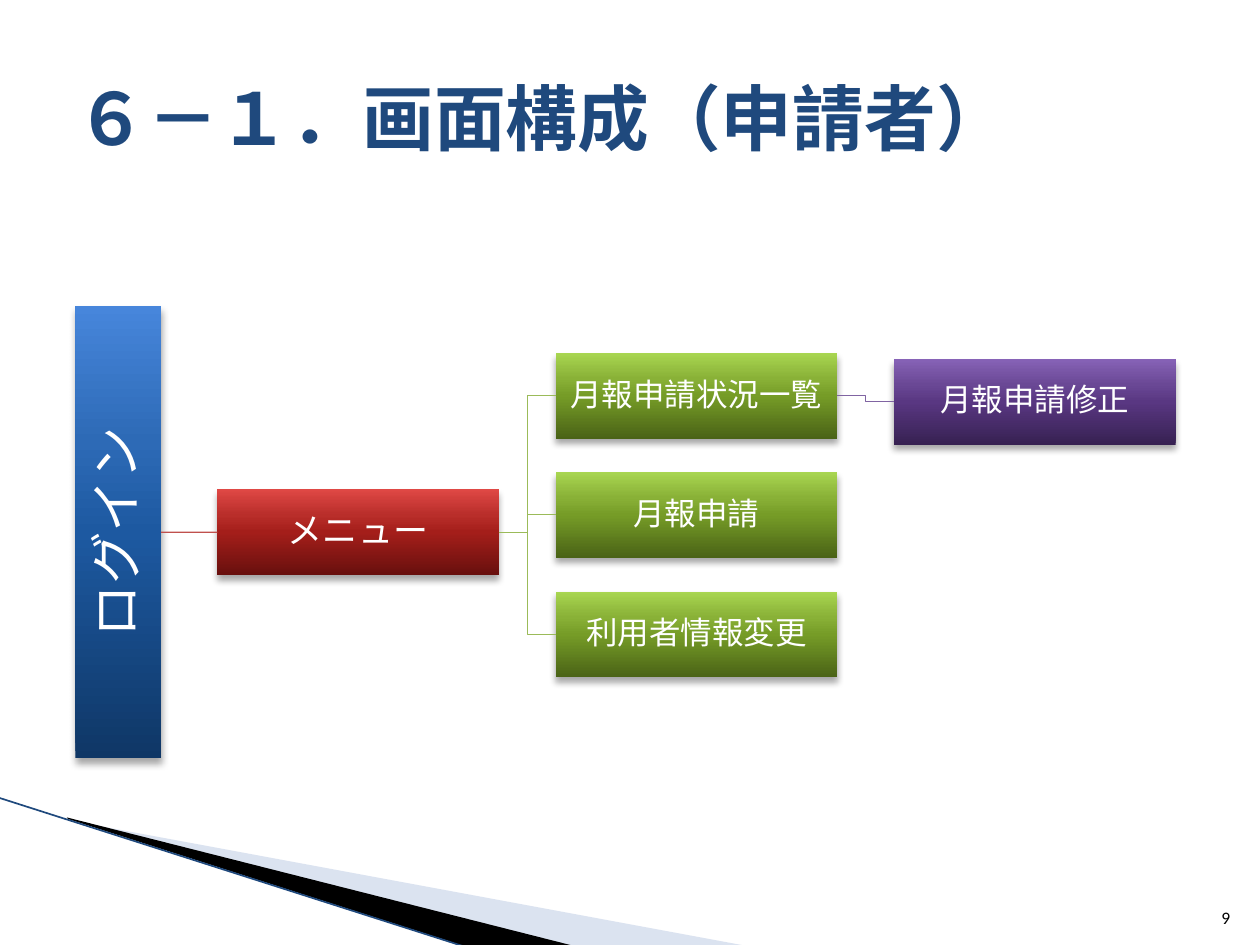
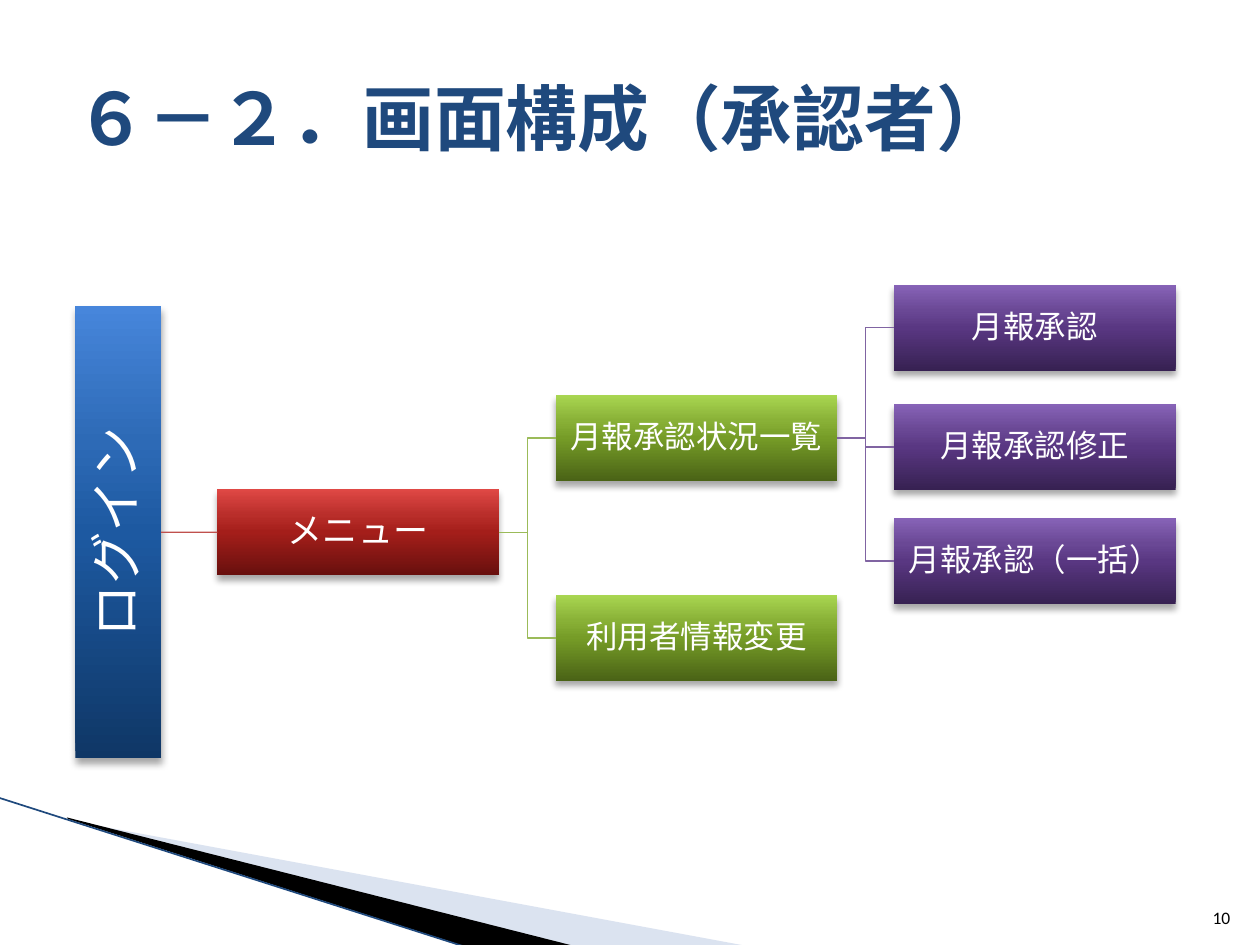
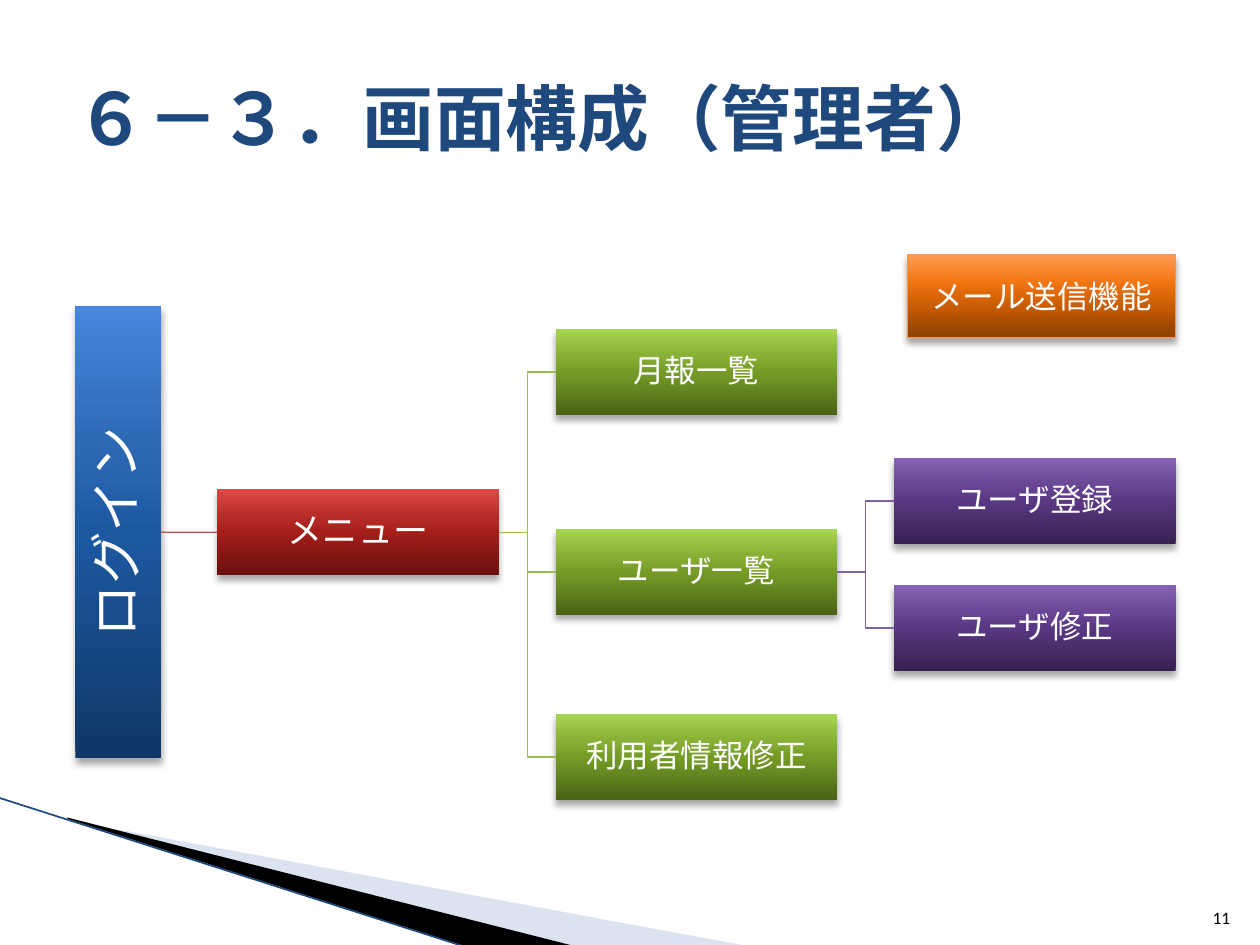
import pptx
import pptx.dml.color
import pptx.enum.shapes
import pptx.enum.text
import pptx.oxml.ns
import pptx.util
from lxml import etree

Cm = pptx.util.Cm
Pt = pptx.util.Pt
RGBColor = pptx.dml.color.RGBColor
Align = pptx.enum.text.PP_ALIGN
Anchor = pptx.enum.text.MSO_ANCHOR
qn = pptx.oxml.ns.qn

NAVY = RGBColor(0x1F, 0x49, 0x7D)
PALE_BLUE = RGBColor(0xA7, 0xB9, 0xDB)
BLACK = RGBColor(0, 0, 0)
WHITE = RGBColor(0xFF, 0xFF, 0xFF)
RED_LINE = RGBColor(0xC0, 0x50, 0x4D)
GREEN_LINE = RGBColor(0x9B, 0xBB, 0x59)
PURPLE_LINE = RGBColor(0x80, 0x64, 0xA2)
ORANGE_LINE = RGBColor(0xF7, 0x96, 0x46)


def gradient_colors(*values):
    return [RGBColor.from_string(value) for value in values]


BLUE = gradient_colors("0F3766", "1D59A1", "2D6AB6", "4786DB")
RED = gradient_colors("68100E", "A41E1A", "B92E2A", "DF4845")
GREEN = gradient_colors("4A6316", "769C27", "89B137", "A9D651")
PURPLE = gradient_colors("372152", "593782", "6A4895", "8763B7")
ORANGE = gradient_colors("8B3F00", "DA6606", "F47917", "FF9C54")
GRADIENT_STOPS = (0, 50, 70, 100)

BODY_FONT = "Calibri"
TITLE_FONT = "Cambria"
JAPANESE_FONT = "Noto Sans CJK JP"

BOX_WIDTH = 5.68
BOX_HEIGHT = 1.73
FIRST_COLUMN = 4.38
COLUMN_STEP = 6.82
MENU_CENTER = 10.73
LOGIN_LEFT = 1.52
LOGIN_HEIGHT = 9.12
LEVELS = [(RED, RED_LINE, 20), (GREEN, GREEN_LINE, 18), (PURPLE, PURPLE_LINE, 18)]
LEFT_SITE, RIGHT_SITE = 1, 3

SCREENS = [
    ("６－１．画面構成（申請者）", [
        ("月報申請状況一覧", 7.98, [("月報申請修正", 8.1, [])]),
        ("月報申請", 10.38, []),
        ("利用者情報変更", 12.79, []),
    ]),
    ("６－２．画面構成（承認者）", [
        ("月報承認状況一覧", 8.83, [
            ("月報承認", 6.61, []),
            ("月報承認修正", 9.01, []),
            ("月報承認（一括）", 11.31, []),
        ]),
        ("利用者情報変更", 12.86, []),
    ]),
    ("６－３．画面構成（管理者）", [
        ("月報一覧", 7.5, []),
        ("ユーザ一覧", 11.53, [("ユーザ登録", 10.1, []), ("ユーザ修正", 12.66, [])]),
        ("利用者情報修正", 15.26, []),
    ]),
]
FIRST_PAGE = 9


def write_text(shape, text, size=18, font=BODY_FONT, color=WHITE, bold=False,
               align=Align.CENTER, anchor=Anchor.MIDDLE, inset=None, spacing=None):
    frame = shape.text_frame
    frame.word_wrap = True
    frame.vertical_anchor = anchor
    if inset is not None:
        frame.margin_left = frame.margin_right = Cm(inset)
        frame.margin_top = frame.margin_bottom = Cm(inset)
    paragraph = frame.paragraphs[0]
    paragraph.alignment = align
    paragraph.line_spacing = spacing
    run = paragraph.add_run()
    run.text = text
    run.font.size = Pt(size)
    run.font.name = font
    run.font.bold = bold
    run.font.color.rgb = color
    east_asian = etree.SubElement(run.font._element, qn("a:ea"))
    east_asian.set("typeface", JAPANESE_FONT)


def add_text(slide, text, left, top, width, height, **text_format):
    box = slide.shapes.add_textbox(Cm(left), Cm(top), Cm(width), Cm(height))
    write_text(box, text, **text_format)


def add_color(parent, color, alpha=None):
    element = etree.SubElement(parent, qn("a:srgbClr"), val=str(color))
    if alpha is not None:
        etree.SubElement(element, qn("a:alpha"), val=str(alpha * 1000))


def fill_gradient(shape, colors):
    shape.fill.gradient()
    gradient = shape._element.spPr.find(qn("a:gradFill"))
    gradient.clear()
    gradient.set("rotWithShape", "1")
    stops = etree.SubElement(gradient, qn("a:gsLst"))
    for position, color in zip(GRADIENT_STOPS, colors):
        stop = etree.SubElement(stops, qn("a:gs"), pos=str(position * 1000))
        add_color(stop, color)
    etree.SubElement(gradient, qn("a:lin"), ang="16200000", scaled="0")


def add_shadow(shape):
    shape.shadow.inherit = False
    effects = shape._element.spPr.find(qn("a:effectLst"))
    shadow = etree.SubElement(effects, qn("a:outerShdw"), blurRad=str(Pt(4)),
                              dist=str(Pt(3)), dir="5400000", rotWithShape="0")
    add_color(shadow, BLACK, 35)


def add_box(slide, text, left, top, width, height, colors, outline=None, **text_format):
    box = slide.shapes.add_shape(pptx.enum.shapes.MSO_SHAPE.RECTANGLE,
                                 Cm(left), Cm(top), Cm(width), Cm(height))
    fill_gradient(box, colors)
    if outline is None:
        box.line.fill.background()
    else:
        box.line.color.rgb = outline
        box.line.width = Pt(0.75)
    add_shadow(box)
    write_text(box, text, **text_format)
    return box


def add_line(slide, kind, color, width, points=(0, 0, 0, 0)):
    line = slide.shapes.add_connector(kind, *[Cm(value) for value in points])
    line.line.color.rgb = color
    line.line.width = Pt(width)
    etree.SubElement(line._element.spPr, qn("a:effectLst"))
    return line


def join_boxes(slide, parent, child, color):
    kinds = pptx.enum.shapes.MSO_CONNECTOR
    parent_center = parent.top + parent.height // 2
    child_center = child.top + child.height // 2
    level = abs(parent_center - child_center) < Cm(0.02)
    line = add_line(slide, kinds.STRAIGHT if level else kinds.ELBOW, color, 0.75)
    line.begin_connect(parent, RIGHT_SITE)
    line.end_connect(child, LEFT_SITE)


def add_branch(slide, parent, node, level=0):
    text, center, children = node
    colors, line_color, size = LEVELS[level]
    box = add_box(slide, text, FIRST_COLUMN + level * COLUMN_STEP, center - BOX_HEIGHT / 2,
                  BOX_WIDTH, BOX_HEIGHT, colors, size=size, inset=0.03, spacing=0.9)
    join_boxes(slide, parent, box, line_color)
    for child in children:
        add_branch(slide, box, child, level + 1)


def add_screen_tree(slide, screens):
    login = add_box(slide, "ログイン", LOGIN_LEFT, MENU_CENTER - LOGIN_HEIGHT / 2,
                    BOX_HEIGHT, LOGIN_HEIGHT, BLUE, size=30, inset=0.05, spacing=0.9)
    login.text_frame._txBody.bodyPr.set("vert", "vert270")
    add_branch(slide, login, ("メニュー", MENU_CENTER, screens))


def add_wedge(slide, points, color, alpha=None):
    corners = [(Cm(x), Cm(y)) for x, y in points]
    builder = slide.shapes.build_freeform(*corners[0])
    builder.add_line_segments(corners[1:])
    wedge = builder.convert_to_shape()
    wedge.fill.solid()
    wedge.fill.fore_color.rgb = color
    if alpha is not None:
        color_element = wedge._element.spPr.find(qn("a:solidFill"))[0]
        etree.SubElement(color_element, qn("a:alpha"), val=str(alpha * 1000))
    wedge.line.fill.background()
    wedge.shadow.inherit = False


def add_frame(slide, title, page):
    add_wedge(slide, [(1.4, 16.54), (15.11, 19.08), (11.58, 19.08), (1.4, 16.51)], PALE_BLUE, 40)
    add_wedge(slide, [(1.35, 16.48), (11.61, 19.08), (9.45, 19.1), (1.37, 16.51)], BLACK)
    add_line(slide, pptx.enum.shapes.MSO_CONNECTOR.STRAIGHT, NAVY, 0.95,
             (-0.03, 16.08, 9.42, 19.1))
    add_text(slide, title, 1.27, 0.76, 22.86, 3.18, size=41, font=TITLE_FONT,
             color=NAVY, bold=True, align=Align.LEFT)
    add_text(slide, str(page), 24.03, 17.81, 1.02, 1.02, size=10, color=BLACK,
             align=Align.RIGHT, anchor=Anchor.BOTTOM)


def main():
    presentation = pptx.Presentation()
    presentation.slide_width = Cm(25.4)
    presentation.slide_height = Cm(19.05)
    blank_layout = presentation.slide_layouts[6]
    for page, (title, screens) in enumerate(SCREENS, FIRST_PAGE):
        slide = presentation.slides.add_slide(blank_layout)
        add_frame(slide, title, page)
        add_screen_tree(slide, screens)
    add_box(slide, "メール送信機能", 18.29, 5.13, 5.41, 1.68, ORANGE,
            outline=ORANGE_LINE, font=JAPANESE_FONT)
    presentation.save("out.pptx")


if __name__ == "__main__":
    main()
